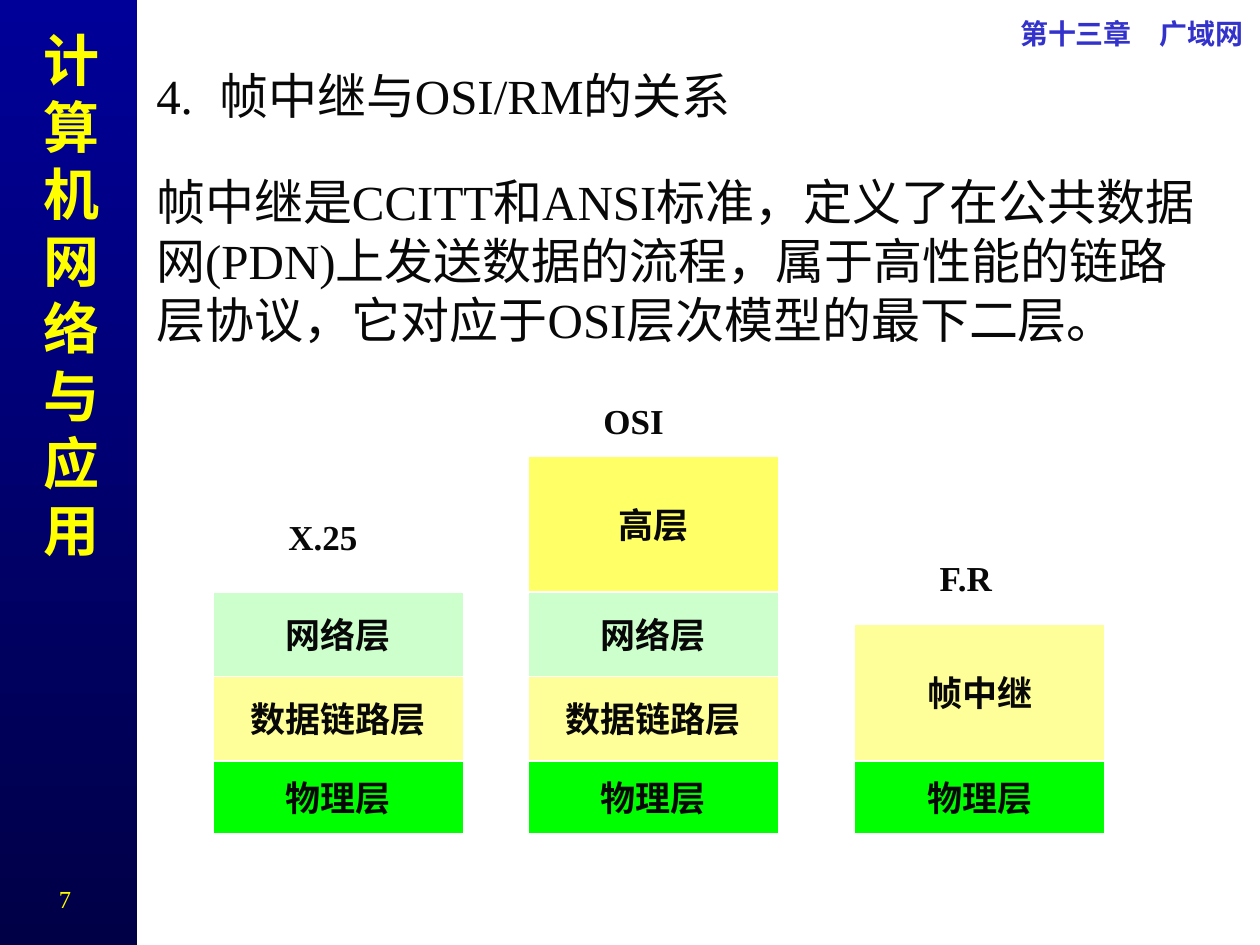
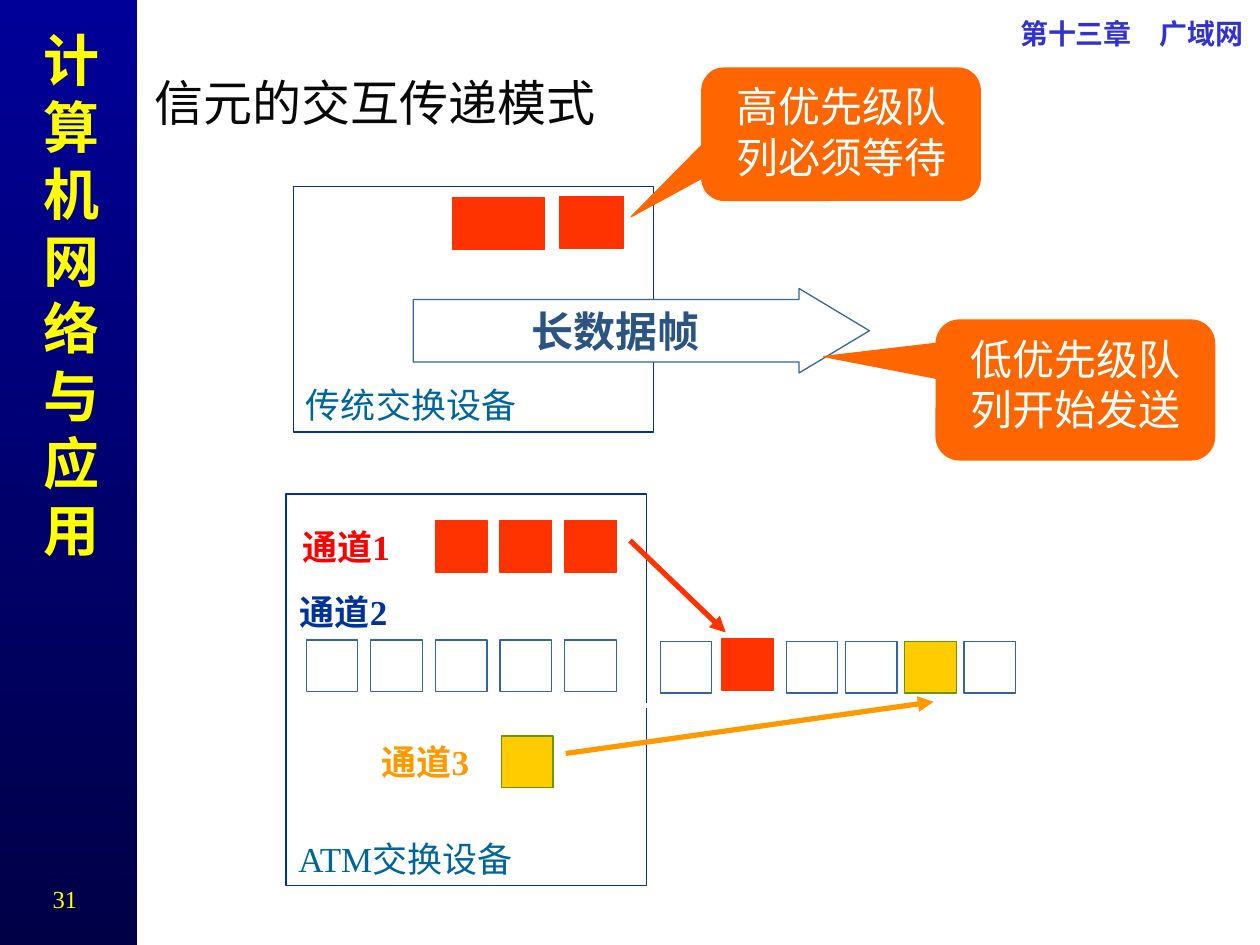
from lxml import etree
from pptx import Presentation
from pptx.dml.color import RGBColor
from pptx.enum import shapes, text
from pptx.oxml import ns
from pptx.util import Inches, Pt

FONT = "Times New Roman"
INK = RGBColor(0x08, 0x08, 0x08)
WHITE = RGBColor(0xFF, 0xFF, 0xFF)
YELLOW = RGBColor(0xFF, 0xFF, 0x00)
NAVY_TOP = RGBColor(0x00, 0x00, 0x99)
NAVY_END = RGBColor(0x00, 0x00, 0x46)
VIOLET = RGBColor(0x33, 0x33, 0xCC)
BLUE = RGBColor(0x00, 0x33, 0x99)
TEAL = RGBColor(0x00, 0x66, 0x99)
STEEL = RGBColor(0x33, 0x66, 0x99)
SLATE = RGBColor(0x2B, 0x54, 0x81)
MINT = RGBColor(0xCC, 0xFF, 0xCC)
CREAM = RGBColor(0xFF, 0xFF, 0x99)
LEMON = RGBColor(0xFF, 0xFF, 0x66)
LIME = RGBColor(0x00, 0xFF, 0x00)
RED = RGBColor(0xFF, 0x00, 0x00)
FLAME = RGBColor(0xFF, 0x33, 0x00)
ORANGE = RGBColor(0xFF, 0x66, 0x00)
AMBER = RGBColor(0xFF, 0x99, 0x00)
GOLD = RGBColor(0xFF, 0xCC, 0x00)
OLIVE = RGBColor(0x66, 0x99, 0x00)
ICE = RGBColor(0xE5, 0xFF, 0xFF)

LEFT, MID, RIGHT = text.PP_ALIGN.LEFT, text.PP_ALIGN.CENTER, text.PP_ALIGN.RIGHT
TOP, CENTER, BOTTOM = (text.MSO_ANCHOR.TOP, text.MSO_ANCHOR.MIDDLE,
                       text.MSO_ANCHOR.BOTTOM)
KIND = shapes.MSO_SHAPE


def write(shape, words, size=20, color=INK, bold=False, align=LEFT, anchor=TOP,
          wrap=True, inset=(0.1, 0.05), tab=None):
    """Fill a shape with one formatted paragraph."""
    frame = shape.text_frame
    frame.auto_size = text.MSO_AUTO_SIZE.NONE
    frame.word_wrap = wrap
    frame.vertical_anchor = anchor
    frame.margin_left = frame.margin_right = Inches(inset[0])
    frame.margin_top = frame.margin_bottom = Inches(inset[1])
    para = frame.paragraphs[0]
    para.alignment = align
    para.space_before = para.space_after = Pt(0)
    props = para._p.get_or_add_pPr()
    props.set("marL", "0")
    props.set("indent", "0")
    etree.SubElement(props, ns.qn("a:buNone"))
    if tab:
        stops = etree.SubElement(props, ns.qn("a:tabLst"))
        etree.SubElement(stops, ns.qn("a:tab"), pos=str(Inches(tab)), algn="l")
    run = para.add_run()
    run.text = words
    run.font.name, run.font.size = FONT, Pt(size)
    run.font.bold, run.font.color.rgb = bold, color


class Deck:
    """Holds the shared style and the slide being built."""

    def __init__(self):
        self.prs = Presentation()
        self.prs.slide_width, self.prs.slide_height = Inches(10), Inches(7.5)

    def start(self, layout, number):
        self.slide = self.prs.slides.add_slide(self.prs.slide_layouts[layout])
        for holder in list(self.slide.placeholders):
            if holder.placeholder_format.idx > 1:
                holder._element.getparent().remove(holder._element)
        # Side band, course name, chapter and number
        band = self.box((-0.02, 0, 1.11, 7.52))
        band.fill.gradient()
        band.fill.gradient_angle = 270
        for stop, color in zip(band.fill.gradient_stops, (NAVY_TOP, NAVY_END)):
            stop.color.rgb = color
        self.label((0.14, 0.15, 0.75, 4.37), "计算机网络与应用", size=32,
                   color=YELLOW, bold=True, align=RIGHT)
        self.label((7.53, 0.13, 2.34, 0.27), "第十三章　广域网", size=16,
                   color=VIOLET, bold=True, align=RIGHT, inset=(0, 0))
        self.label((0.22, 6.97, 0.59, 0.34), str(number), size=14,
                   color=YELLOW, align=MID)

    def hold(self, index, area, words, **form):
        holder = self.slide.placeholders[index]
        (holder.left, holder.top,
         holder.width, holder.height) = map(Inches, area)
        write(holder, words, size=28, **form)

    def label(self, area, words, **form):
        write(self.slide.shapes.add_textbox(*map(Inches, area)), words, **form)

    def box(self, area, fill=None, line=None, width=0.75, kind=KIND.RECTANGLE,
            adjust=(), words=None, **form):
        shape = self.slide.shapes.add_shape(kind, *map(Inches, area))
        shape.shadow.inherit = False
        for i, value in enumerate(adjust):
            shape.adjustments[i] = value
        if fill is None:
            shape.fill.background()
        else:
            shape.fill.solid()
            shape.fill.fore_color.rgb = fill
        if line is None:
            shape.line.fill.background()
        else:
            shape.line.color.rgb = line
            shape.line.width = Pt(width)
        if words:
            write(shape, words, **form)
        return shape

    def cell(self, x, y, fill=WHITE, line=STEEL, width=0.41):
        self.box((x, y, width, 0.41), fill, line)

    def arrow(self, start, end, color):
        link = self.slide.shapes.add_connector(
            shapes.MSO_CONNECTOR.STRAIGHT, *map(Inches, start + end))
        link.line.color.rgb, link.line.width = color, Pt(3)
        etree.SubElement(link.line._get_or_add_ln(), ns.qn("a:tailEnd"),
                         type="triangle")
        etree.SubElement(link._element.spPr, ns.qn("a:effectLst"))

    def stack(self, x, layers):
        """Pile layers upward from the shared floor."""
        y = 6.62
        for words, height, fill in layers:
            y -= height
            self.box((x, y, 1.99, height), fill, WHITE, 1, words=words,
                     bold=True, align=MID, anchor=CENTER)

    def callout(self, area, adjust, words):
        self.box(area, ORANGE, ORANGE, kind=KIND.ROUNDED_RECTANGULAR_CALLOUT,
                 adjust=adjust, words=words, size=24, color=ICE, align=MID)


def relay(deck):
    deck.start(1, 7)
    deck.hold(0, (1.14, 0.44, 8.67, 0.63), "4.\t帧中继与OSI/RM的关系",
              anchor=CENTER, tab=0.87)
    deck.hold(1, (1.14, 1.31, 8.51, 1.73),
              "帧中继是CCITT和ANSI标准，定义了在公共数据网(PDN)上发送数据的流程，"
              "属于高性能的链路层协议，它对应于OSI层次模型的最下二层。")
    # Layer stacks
    base = ("物理层", 0.58, LIME)
    lower = [base, ("数据链路层", 0.67, CREAM), ("网络层", 0.67, MINT)]
    deck.stack(1.69, lower)
    deck.stack(4.19, lower + [("高层", 1.08, LEMON)])
    deck.stack(6.78, [base, ("帧中继", 1.09, CREAM)])
    for x, y, name in ((2.19, 4.04, "X.25"), (4.69, 3.12, "OSI"),
                       (7.36, 4.37, "F.R")):
        deck.label((x, y, 0.92, 0.43), name, bold=True)


def cells(deck):
    deck.start(5, 31)
    deck.hold(0, (1.13, 0.52, 3.72, 0.57), "信元的交互传递模式", anchor=CENTER)
    # Switch with long frames
    deck.box((2.33, 1.48, 2.86, 1.95), line=BLUE, words="传统交换设备",
             color=TEAL, anchor=BOTTOM)
    deck.box((3.28, 2.29, 3.62, 0.67), WHITE, STEEL, kind=KIND.RIGHT_ARROW,
             adjust=(0.74, 0.833), words="长数据帧", size=24, color=SLATE,
             bold=True, align=MID, anchor=CENTER)
    deck.cell(3.59, 1.57, FLAME, FLAME, width=0.73)
    deck.cell(4.44, 1.56, FLAME, FLAME, width=0.51)
    deck.callout((5.57, 0.54, 2.21, 1.05), (-0.754, 0.624, 0.167),
                 "高优先级队列必须等待")
    deck.callout((7.43, 2.54, 2.21, 1.11), (-0.904, -0.239, 0.167),
                 "低优先级队列开始发送")
    # Switch with cells
    deck.box((2.27, 3.92, 2.86, 3.11), line=BLUE, words="ATM交换设备",
             color=TEAL, anchor=BOTTOM)
    for x, y, name, color in ((2.3, 4.12, "通道1", RED),
                              (2.28, 4.64, "通道2", BLUE),
                              (2.93, 5.83, "通道3", AMBER)):
        deck.label((x, y, 0.96, 0.44), name, color=color, bold=True, wrap=False)
    for i in range(5):
        x = 2.43 + 0.513 * i
        deck.cell(x, 5.08)
        if i > 1:
            deck.cell(x, 4.13, FLAME, FLAME)
    deck.cell(3.98, 5.84, GOLD, OLIVE)
    # Mixed output queue
    for x in (5.24, 6.24, 6.71, 7.65):
        deck.cell(x, 5.09)
    deck.cell(5.73, 5.07, FLAME, FLAME)
    deck.cell(7.18, 5.09, GOLD, OLIVE)
    deck.arrow((4.49, 5.98), (7.41, 5.57), AMBER)
    deck.arrow((4.89, 5.6), (5.48, 5.6), WHITE)
    deck.arrow((5, 4.29), (5.76, 5.02), FLAME)


def main():
    deck = Deck()
    relay(deck)
    cells(deck)
    deck.prs.save("out.pptx")


if __name__ == "__main__":
    main()
